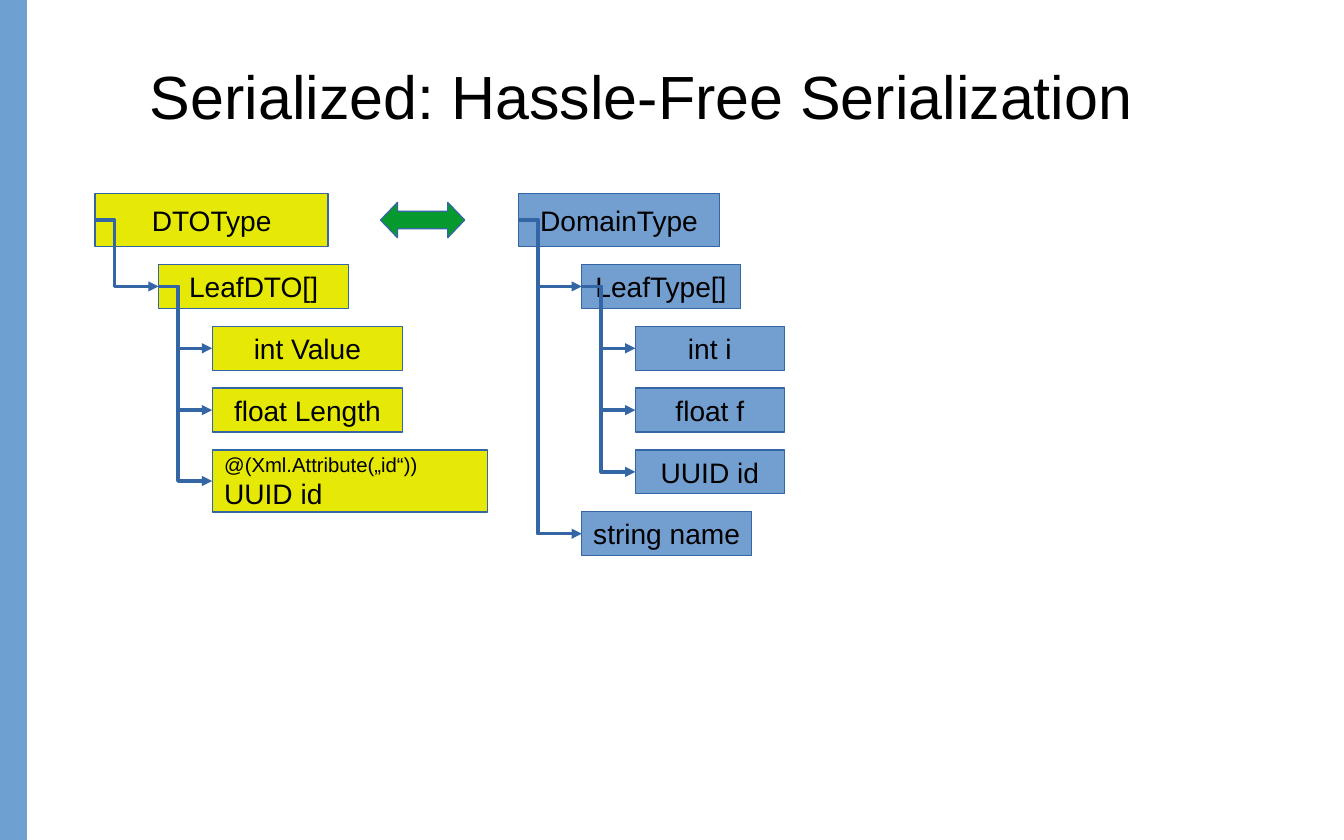
from lxml import etree
from pptx import Presentation
from pptx.dml.color import RGBColor
from pptx.enum.shapes import MSO_CONNECTOR, MSO_SHAPE
from pptx.enum.text import MSO_ANCHOR, PP_ALIGN
from pptx.oxml.ns import qn
from pptx.util import Inches, Pt

RECT, ARROW = MSO_SHAPE.RECTANGLE, MSO_SHAPE.LEFT_RIGHT_ARROW
ELBOW = MSO_CONNECTOR.ELBOW
TOP, MIDDLE = MSO_ANCHOR.TOP, MSO_ANCHOR.MIDDLE
LEFT, CENTER = PP_ALIGN.LEFT, PP_ALIGN.CENTER

BLACK = RGBColor(0x00, 0x00, 0x00)
BAND = RGBColor(0x6E, 0xA0, 0xD1)
YELLOW = RGBColor(0xE6, 0xE9, 0x05)
BLUE = RGBColor(0x72, 0x9F, 0xCF)
GREEN = RGBColor(0x06, 0x9A, 0x2E)
EDGE = RGBColor(0x34, 0x65, 0xA4)

TITLE = "Serialized: Hassle-Free Serialization"
# Each node: depth in the tree, box width, lines of (text, size)
TREES = [
    (0.78, YELLOW, [
        (0, 1.91, [("DTOType", 16.6)]),
        (1, 1.56, [("LeafDTO[]", 16.6)]),
        (2, 1.56, [("int Value", 16.6)]),
        (2, 1.56, [("float Length", 16.6)]),
        (2, 2.26, [("@(Xml.Attribute(„id“))", 12), ("UUID id", 16.6)]),
    ]),
    (4.25, BLUE, [
        (0, 1.65, [("DomainType", 16.6)]),
        (1, 1.3, [("LeafType[]", 16.6)]),
        (2, 1.22, [("int i", 16.6)]),
        (2, 1.22, [("float f", 16.6)]),
        (2, 1.22, [("UUID id", 16.6)]),
        (1, 1.39, [("string name", 16.6)]),
    ]),
]
WIDE, HIGH = 11.02, 6.89
INDENT = (0, 0.52, 0.96)
ROOT_Y, ROOT_H = 1.59, 0.43
ROW_Y, PITCH, BOX_H, NOTE_H = 2.17, 0.507, 0.36, 0.51
TRUNK = 0.16  # from a parent's left side to the vertical run


def put(slide, kind, box, fill, edge=None):
    shape = slide.shapes.add_shape(kind, *map(Inches, box))
    shape.shadow.inherit = False
    shape.fill.solid()
    shape.fill.fore_color.rgb = fill
    if edge is None:
        shape.line.fill.background()
    else:
        shape.line.color.rgb = edge
        shape.line.width = Pt(0)
    return shape


def write(shape, lines, align, anchor, wrap):
    frame = shape.text_frame
    form = {"word_wrap": wrap, "vertical_anchor": anchor,
            "margin_left": Inches(0.1), "margin_right": Inches(0.1),
            "margin_top": Inches(0.05), "margin_bottom": Inches(0.05)}
    for key, value in form.items():
        setattr(frame, key, value)
    frame.text = "\n".join(text for text, size in lines)
    for para, (text, size) in zip(frame.paragraphs, lines):
        para.alignment = align
        para.line_spacing = 1.0
        para.space_before = Pt(0)
        font = para.runs[0].font
        font.name, font.size = "Arial", Pt(size)
        font.color.rgb = BLACK


def link(slide, start, end):
    """Draw an elbow arrow whose vertical run lies TRUNK right of its start."""
    line = slide.shapes.add_connector(ELBOW, *map(Inches, start + end))
    line.line.color.rgb = EDGE
    line.line.width = Pt(0)
    props = line.element.spPr
    guides = props.find(qn("a:prstGeom")).get_or_add_avLst()
    bend = round(TRUNK / (end[0] - start[0]) * 100000)
    etree.SubElement(guides, qn("a:gd"), name="adj1", fmla=f"val {bend}")
    etree.SubElement(props.find(qn("a:ln")), qn("a:tailEnd"), type="triangle")
    etree.SubElement(props, qn("a:effectLst"))


def draw_tree(slide, left, fill, nodes):
    parents, links = {}, []
    for row, (depth, width, lines) in enumerate(nodes):
        note = len(lines) > 1
        x = left + INDENT[depth]
        if depth == 0:
            y, height = ROOT_Y, ROOT_H
        else:
            y = ROW_Y + (row - 1) * PITCH
            height = NOTE_H if note else BOX_H
        shape = put(slide, RECT, (x, y, width, height), fill, EDGE)
        write(shape, lines, LEFT if note else CENTER, MIDDLE, note)
        side = (x, y + height / 2)
        parents[depth] = side
        if depth:
            links.append((parents[depth - 1], side))
    for start, end in links:
        link(slide, start, end)


def main():
    deck = Presentation()
    deck.slide_width, deck.slide_height = Inches(WIDE), Inches(HIGH)
    slide = deck.slides.add_slide(deck.slide_layouts[5])
    put(slide, RECT, (0, 0, WIDE * 0.02, HIGH), BAND)

    title = slide.shapes.title
    title.left, title.top = Inches(1.13), Inches(0.43)
    title.width, title.height = Inches(9.18), Inches(1.04)
    write(title, [(TITLE, 36)], LEFT, TOP, True)

    for left, fill, nodes in TREES:
        draw_tree(slide, left, fill, nodes)

    arrow = put(slide, ARROW, (3.12, 1.66, 0.69, 0.29), GREEN, EDGE)
    arrow.adjustments[0] = 0.5
    arrow.adjustments[1] = 0.48
    deck.save("out.pptx")


if __name__ == "__main__":
    main()
